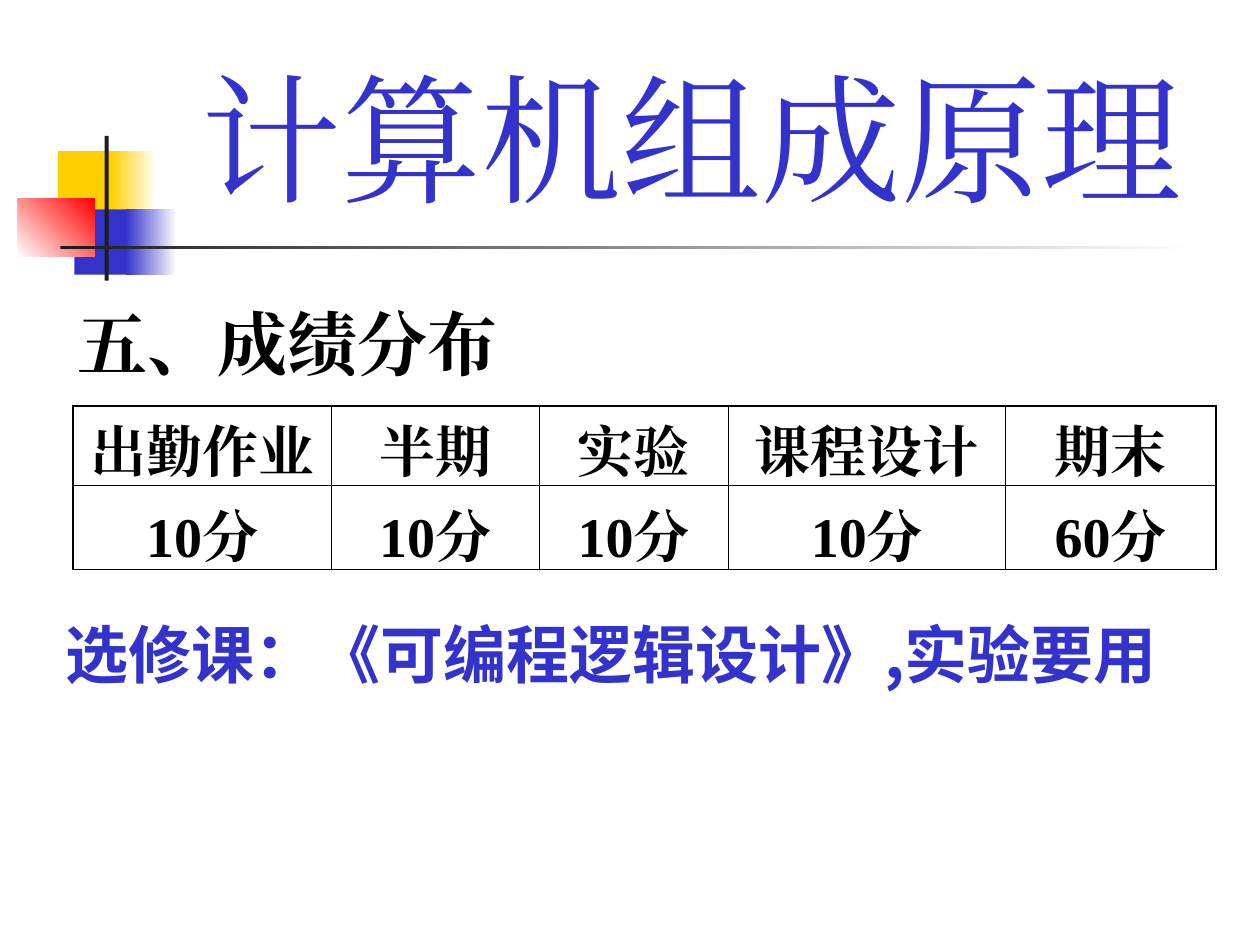
import pptx
import pptx.util
import pptx.dml.color
import pptx.enum.lang
import pptx.enum.shapes
import pptx.enum.text
import pptx.oxml.ns
import lxml.etree

Cm, Pt = pptx.util.Cm, pptx.util.Pt
qn = pptx.oxml.ns.qn
Align = pptx.enum.text.PP_ALIGN
SERIF, SANS, CJK = "Times New Roman", "Roboto", "Noto Sans CJK SC"
BLUE, GOLD, RED, DARK = "3333CC", "FFCF01", "FF0000", "1C1C1C"
WHITE, BLACK = "FFFFFF", "000000"

# Ornament: left, top, width, height in cm, colours, angle
DECOR = [
    (1.17, 3.05, 1.22, 1.32, [GOLD], 0),
    (2.24, 3.05, 0.91, 1.32, [GOLD, WHITE], 0),
    (1.5, 4.22, 1.17, 1.32, [BLUE], 0),
    (2.54, 4.22, 1.02, 1.32, [BLUE, WHITE], 0),
    (0.36, 4.01, 1.55, 1.17, [WHITE, RED], 45),
    (2.11, 2.74, 0.08, 2.92, [DARK], 0),
    (1.22, 4.95, 22.86, 0.08, [DARK, WHITE], 0),
]

# Text: wording, box in cm, top inset, size, Latin and Asian font, colour, bold
TEXTS = [
    ("计算机组成原理", (3.81, 0.64, 20.52, 3.66), 0.41, 80, SERIF, SERIF, BLUE, False),
    ("五、成绩分布", (1.32, 5.77, 16.08, 1.96), 0.28, 40, SANS, SERIF, BLACK, True),
    ("选修课：《可编程逻辑设计》,实验要用", (1.07, 12.4, 23.65, 1.78), 0, 36, CJK, CJK, BLUE, True),
]

# Grades
GRADES = [
    ("出勤作业", "半期", "实验", "课程设计", "期末"),
    ("10分", "10分", "10分", "10分", "60分"),
]
COLS = [5.21, 4.19, 3.81, 5.59, 4.24]
ROWS = [1.6, 1.7]
THIN, THICK = 0.45, 1.08


def rgb(code):
    return pptx.dml.color.RGBColor.from_string(code)


def style(para, size, latin, asian, color, bold):
    font = para.font
    font.size, font.bold, font.name = Pt(size), bold, latin
    font.color.rgb = rgb(color)
    font.language_id = pptx.enum.lang.MSO_LANGUAGE_ID.SIMPLIFIED_CHINESE
    props = para._p.pPr.find(qn("a:defRPr"))
    lxml.etree.SubElement(props, qn("a:ea")).set("typeface", asian)


def block(slide, box, colors, angle):
    shape = slide.shapes.add_shape(
        pptx.enum.shapes.MSO_SHAPE.RECTANGLE, *map(Cm, box))
    shape.shadow.inherit = False
    shape.line.fill.background()
    if len(colors) == 1:
        shape.fill.solid()
        shape.fill.fore_color.rgb = rgb(colors[0])
        return
    shape.fill.gradient()
    shape.fill.gradient_angle = angle
    for stop, color in zip(shape.fill.gradient_stops, colors):
        stop.color.rgb = rgb(color)


def label(slide, text, box, inset, *look):
    frame = slide.shapes.add_textbox(*map(Cm, box)).text_frame
    frame.word_wrap = True
    frame.margin_top, frame.margin_bottom = Cm(inset), 0
    para = frame.paragraphs[0]
    para.text = text
    style(para, *look)


def border(cell, widths):
    props = cell._tc.get_or_add_tcPr()
    for side, width in zip("LRTB", widths):
        line = lxml.etree.SubElement(props, qn("a:ln" + side))
        line.set("w", str(Pt(width)))
        fill = lxml.etree.SubElement(line, qn("a:solidFill"))
        lxml.etree.SubElement(fill, qn("a:srgbClr")).set("val", BLACK)


def grid(slide):
    table = slide.shapes.add_table(
        len(ROWS), len(COLS), Cm(1.47), Cm(8.18),
        Cm(sum(COLS)), Cm(sum(ROWS))).table
    table.first_row = table.horz_banding = False
    for col, width in zip(table.columns, COLS):
        col.width = Cm(width)
    for r, (row, height) in enumerate(zip(GRADES, ROWS)):
        table.rows[r].height = Cm(height)
        for c, text in enumerate(row):
            cell = table.cell(r, c)
            edges = (c == 0, c == len(COLS) - 1, r == 0, r == len(ROWS) - 1)
            border(cell, [THICK if edge else THIN for edge in edges])
            cell.fill.background()
            cell.margin_bottom = 0
            cell.vertical_anchor = pptx.enum.text.MSO_ANCHOR.BOTTOM
            para = cell.text_frame.paragraphs[0]
            para.text = text
            para.alignment = Align.CENTER
            style(para, 32, SERIF, SERIF, BLACK, True)


def main():
    deck = pptx.Presentation()
    deck.slide_width, deck.slide_height = Cm(25.4), Cm(19.05)
    slide = deck.slides.add_slide(deck.slide_layouts[6])
    for *box, colors, angle in DECOR:
        block(slide, box, colors, angle)
    for item in TEXTS:
        label(slide, *item)
    grid(slide)
    deck.save("out.pptx")


if __name__ == "__main__":
    main()
